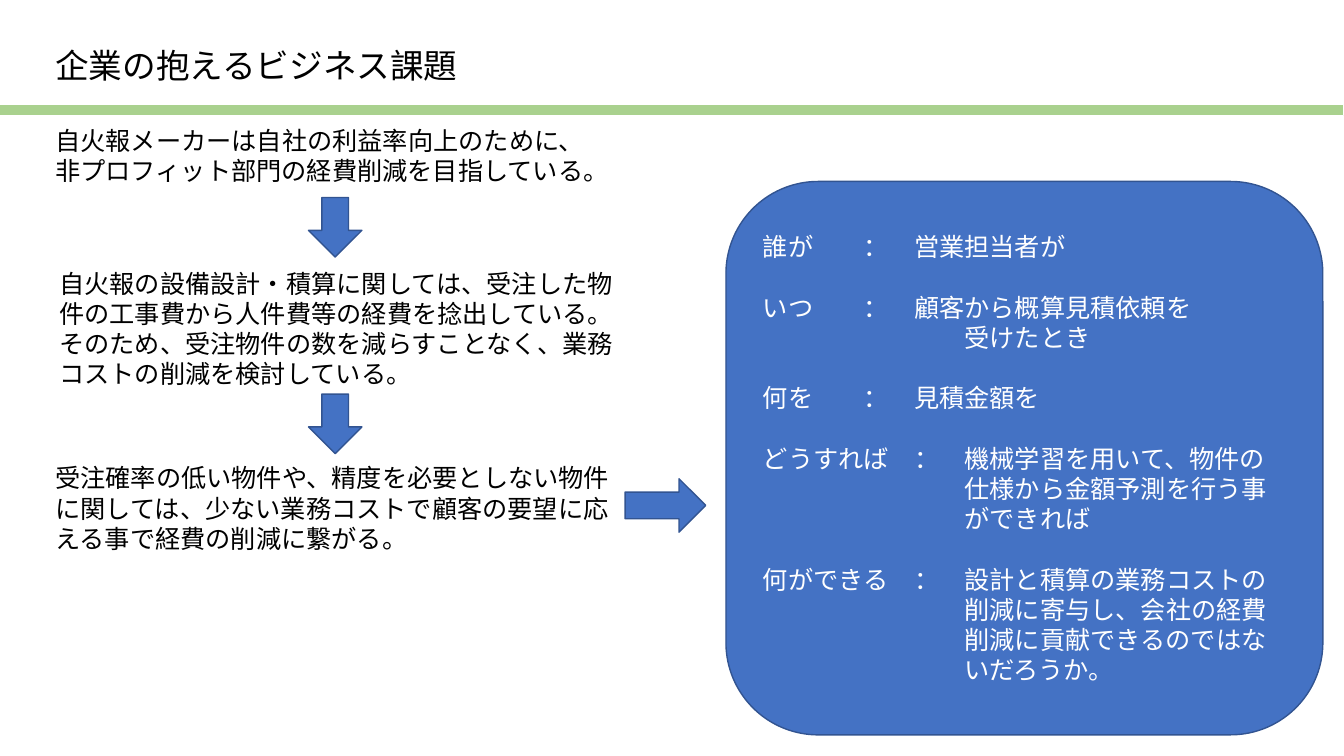
"""Build a slide on the business problem a company faces and its proposed answer."""
import pptx
import pptx.util
import pptx.dml.color
import pptx.enum.shapes
import pptx.enum.text
import lxml.etree

TITLE = "企業の抱えるビジネス課題"
REASONS = [
    ("自火報メーカーは自社の利益率向上のために、\n非プロフィット部門の経費削減を目指している。", (0.45, 1.19, 5.75, 0.71)),
    ("自火報の設備設計・積算に関しては、受注した物件の工事費から人件費等の経費を捻出している。"
     "そのため、受注物件の数を減らすことなく、業務コストの削減を検討している。", (0.49, 2.61, 5.75, 1.31)),
    ("受注確率の低い物件や、精度を必要としない物件に関しては、少ない業務コストで顧客の要望に応える事で"
     "経費の削減に繋がる。", (0.45, 4.54, 5.79, 1.01)),
]
QUESTIONS = [
    ("誰が", ["営業担当者が"]),
    ("いつ", ["顧客から概算見積依頼を", "受けたとき"]),
    ("何を", ["見積金額を"]),
    ("どうすれば", ["機械学習を用いて、物件の", "仕様から金額予測を行う事", "ができれば"]),
    ("何ができる", ["設計と積算の業務コストの", "削減に寄与し、会社の経費", "削減に貢献できるのではな", "いだろうか。"]),
]
THEME = {
    "font": "Noto Sans CJK JP", "title": 24, "body": 18, "gap": 21.6,
    "text": "000000", "light": "FFFFFF", "rule": "A9D18E",
    "fill": "4472C4", "outline": "325491",
}
COLON_COLUMN, ANSWER_COLUMN = 6, 8
SHAPES = pptx.enum.shapes.MSO_SHAPE


def color(name):
    return pptx.dml.color.RGBColor.from_string(THEME[name])


def inches(box):
    return [pptx.util.Inches(length) for length in box]


def style(paragraph, size="body", ink="text"):
    paragraph.alignment = pptx.enum.text.PP_ALIGN.LEFT
    paragraph.font.name = THEME["font"]
    paragraph.font.size = pptx.util.Pt(THEME[size])
    paragraph.font.color.rgb = color(ink)
    for run in paragraph.runs:
        properties = run._r.get_or_add_rPr()
        lxml.etree.SubElement(properties, pptx.oxml.ns.qn("a:ea"), typeface=THEME["font"])


def add_text(slide, text, box, size="body"):
    frame = slide.shapes.add_textbox(*inches(box)).text_frame
    frame.word_wrap = True
    frame.text = text
    for paragraph in frame.paragraphs:
        style(paragraph, size)
    return frame


def add_block(slide, kind, box, fill="fill", outline="outline", width=1):
    shape = slide.shapes.add_shape(kind, *inches(box))
    shape.shadow.inherit = False
    shape.fill.solid()
    shape.fill.fore_color.rgb = color(fill)
    shape.line.color.rgb = color(outline)
    shape.line.width = pptx.util.Pt(width)
    return shape


def set_columns(paragraph, has_label):
    character = pptx.util.Pt(THEME["body"])
    properties = paragraph._p.get_or_add_pPr()
    properties.set("indent", "0")
    properties.set("marL", str(0 if has_label else ANSWER_COLUMN * character))
    if has_label:
        tabs = lxml.etree.SubElement(properties, pptx.oxml.ns.qn("a:tabLst"))
        for column in (COLON_COLUMN, ANSWER_COLUMN):
            lxml.etree.SubElement(tabs, pptx.oxml.ns.qn("a:tab"), pos=str(column * character), algn="l")


def add_questions(slide, box):
    frame = add_block(slide, SHAPES.ROUNDED_RECTANGLE, box).text_frame
    frame.word_wrap = True
    frame.vertical_anchor = pptx.enum.text.MSO_ANCHOR.MIDDLE
    frame.text = "\n".join(f"{label}\t：\t" + "\n".join(lines) for label, lines in QUESTIONS)
    for index, paragraph in enumerate(frame.paragraphs):
        has_label = "\t" in paragraph.text
        if has_label and index:
            paragraph.space_before = pptx.util.Pt(THEME["gap"])
        set_columns(paragraph, has_label)
        style(paragraph, ink="light")


presentation = pptx.Presentation()
presentation.slide_width, presentation.slide_height = inches((13.33, 7.5))
slide = presentation.slides.add_slide(presentation.slide_layouts[6])

add_block(slide, SHAPES.RECTANGLE, (-0.01, 1.04, 13.34, 0.11), "rule", "light", 0.75)
title = add_text(slide, TITLE, (0.45, 0.44, 6.11, 0.6), "title")
title.paragraphs[0].line_spacing = 0.9
for text, box in REASONS:
    add_text(slide, text, box)
for top in (1.96, 3.91):
    add_block(slide, SHAPES.DOWN_ARROW, (3.06, top, 0.53, 0.59))
add_questions(slide, (7.2, 1.8, 5.92, 5.49))
add_block(slide, SHAPES.RIGHT_ARROW, (6.2, 4.75, 0.8, 0.53))

presentation.save("out.pptx")
